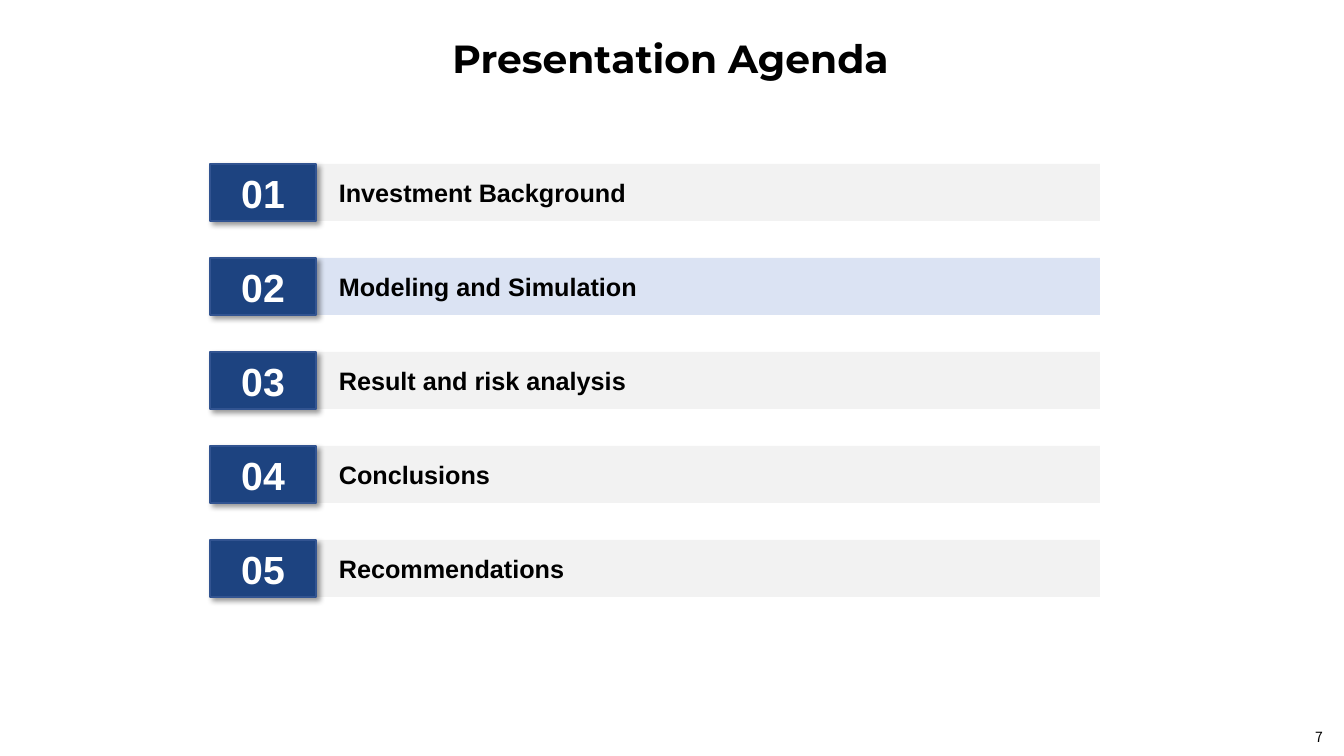
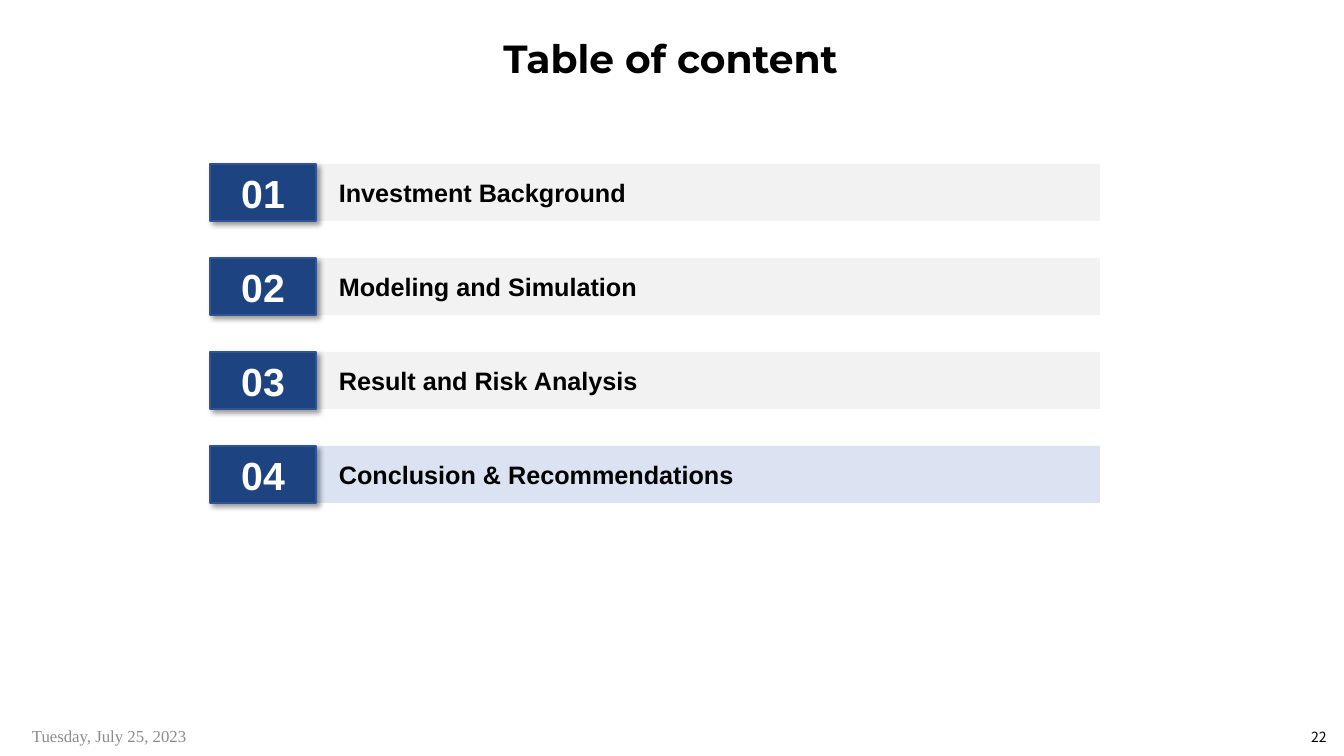
from lxml import etree
from pptx import Presentation
from pptx.dml.color import RGBColor
from pptx.enum.shapes import MSO_SHAPE
from pptx.enum.text import MSO_ANCHOR, MSO_AUTO_SIZE, PP_ALIGN
from pptx.oxml import parse_xml
from pptx.oxml.ns import nsdecls, qn
from pptx.util import Emu, Pt

SLIDES = [
    {
        "title": "Presentation Agenda",
        "items": ["Investment Background", "Modeling and Simulation",
                  "Result and risk analysis", "Conclusions", "Recommendations"],
        "current": 2,
        "number": "7",
        "date": None,
    },
    {
        "title": "Table of content",
        "items": ["Investment Background", "Modeling and Simulation",
                  "Result and Risk Analysis", "Conclusion & Recommendations"],
        "current": 4,
        "number": "22",
        "date": "Tuesday, July 25, 2023",
    },
]

BLACK = RGBColor(0x00, 0x00, 0x00)
WHITE = RGBColor(0xFF, 0xFF, 0xFF)
NAVY = RGBColor(0x1D, 0x43, 0x80)
NAVY_EDGE = RGBColor(0x32, 0x54, 0x91)
BAR_GREY = RGBColor(0xF2, 0xF2, 0xF2)
BAR_CURRENT = RGBColor(0xDB, 0xE3, 0xF3)
DATE_GREY = RGBColor(0x8C, 0x8C, 0x8C)

RECT = MSO_SHAPE.RECTANGLE
LEFT, CENTER = PP_ALIGN.LEFT, PP_ALIGN.CENTER
MIDDLE, BOTTOM = MSO_ANCHOR.MIDDLE, MSO_ANCHOR.BOTTOM
NO_FIT = MSO_AUTO_SIZE.NONE

PX_PER_INCH = 100.8
SLIDE_W, SLIDE_H = 1344, 756
TITLE_BOX = (60, 30, 1221, 57)
NUMBER_BOX = (1295, 728, 48, 17)
DATE_BOX = (22, 716, 302, 40)
ROW_TOP, ROW_H, ROW_PITCH = 164, 57, 94
BADGE_X, BADGE_W = 210, 106
BAR_X, BAR_W = 294, 806
LABEL_X = 329


def px(n):
    return Emu(round(n * 914400 / PX_PER_INCH))


def box(*lengths):
    return [px(n) for n in lengths]


def write(sp, text, size, font, color, bold=False, align=LEFT, anchor=MIDDLE):
    tf = sp.text_frame
    tf.word_wrap = True
    tf.auto_size = NO_FIT
    tf.vertical_anchor = anchor
    p = tf.paragraphs[0]
    p.alignment = align
    r = p.add_run()
    r.text = text
    r.font.size = Pt(size)
    r.font.name = font
    r.font.bold = bold
    r.font.color.rgb = color
    return tf


def add_rect(shapes, bounds, fill):
    sp = shapes.add_shape(RECT, *box(*bounds))
    sp.shadow.inherit = False
    sp.fill.solid()
    sp.fill.fore_color.rgb = fill
    sp.line.fill.background()
    return sp


def add_shadow(sp):
    effects = sp.element.spPr.find(qn("a:effectLst"))
    shadow = parse_xml(
        f'<a:outerShdw {nsdecls("a")} blurRad="{Pt(4)}" dist="{Pt(3)}" '
        'dir="2700000" algn="tl" rotWithShape="0"/>')
    color = etree.SubElement(shadow, qn("a:srgbClr"), val=str(BLACK))
    etree.SubElement(color, qn("a:alpha"), val="40000")
    effects.append(shadow)


def add_title(slide, text):
    title = slide.shapes.title
    title.left, title.top, title.width, title.height = box(*TITLE_BOX)
    tf = write(title, text, 28, "Montserrat", BLACK, True, CENTER, BOTTOM)
    tf.paragraphs[0].line_spacing = 0.9


def add_row(slide, index, text, current):
    top = ROW_TOP + index * ROW_PITCH
    row = slide.shapes.add_group_shape().shapes

    add_rect(row, (BAR_X, top, BAR_W, ROW_H), BAR_CURRENT if current else BAR_GREY)

    badge = add_rect(row, (BADGE_X, top, BADGE_W, ROW_H), NAVY)
    badge.line.color.rgb = NAVY_EDGE
    badge.line.width = Pt(1)
    add_shadow(badge)
    write(badge, f"{index + 1:02d}", 28, "Arial", WHITE, True, CENTER)

    label = row.add_textbox(*box(LABEL_X, top, BAR_W, ROW_H))
    write(label, text, 18, "Arial", BLACK, True)


def add_footer(slide, number, date):
    sp = slide.shapes.add_textbox(*box(*NUMBER_BOX))
    tf = write(sp, number, 10, "Noto Sans CJK SC", BLACK, align=CENTER)
    tf.margin_left = tf.margin_right = tf.margin_top = tf.margin_bottom = 0
    if date:
        sp = slide.shapes.add_textbox(*box(*DATE_BOX))
        write(sp, date, 12, "Times New Roman", DATE_GREY)


def main():
    prs = Presentation()
    prs.slide_width, prs.slide_height = box(SLIDE_W, SLIDE_H)
    title_only = prs.slide_layouts[5]
    for content in SLIDES:
        s = prs.slides.add_slide(title_only)
        add_title(s, content["title"])
        for i, text in enumerate(content["items"]):
            add_row(s, i, text, i + 1 == content["current"])
        add_footer(s, content["number"], content["date"])
    prs.save("out.pptx")


if __name__ == "__main__":
    main()
